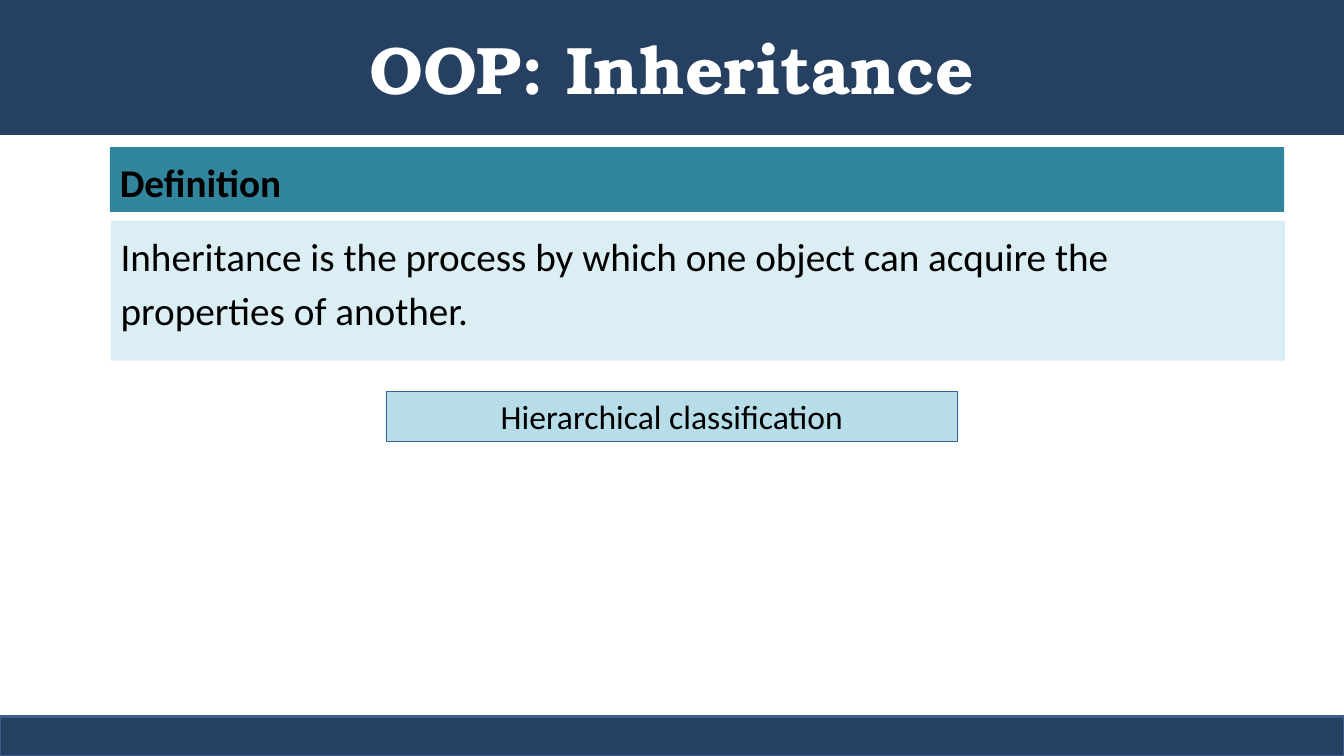
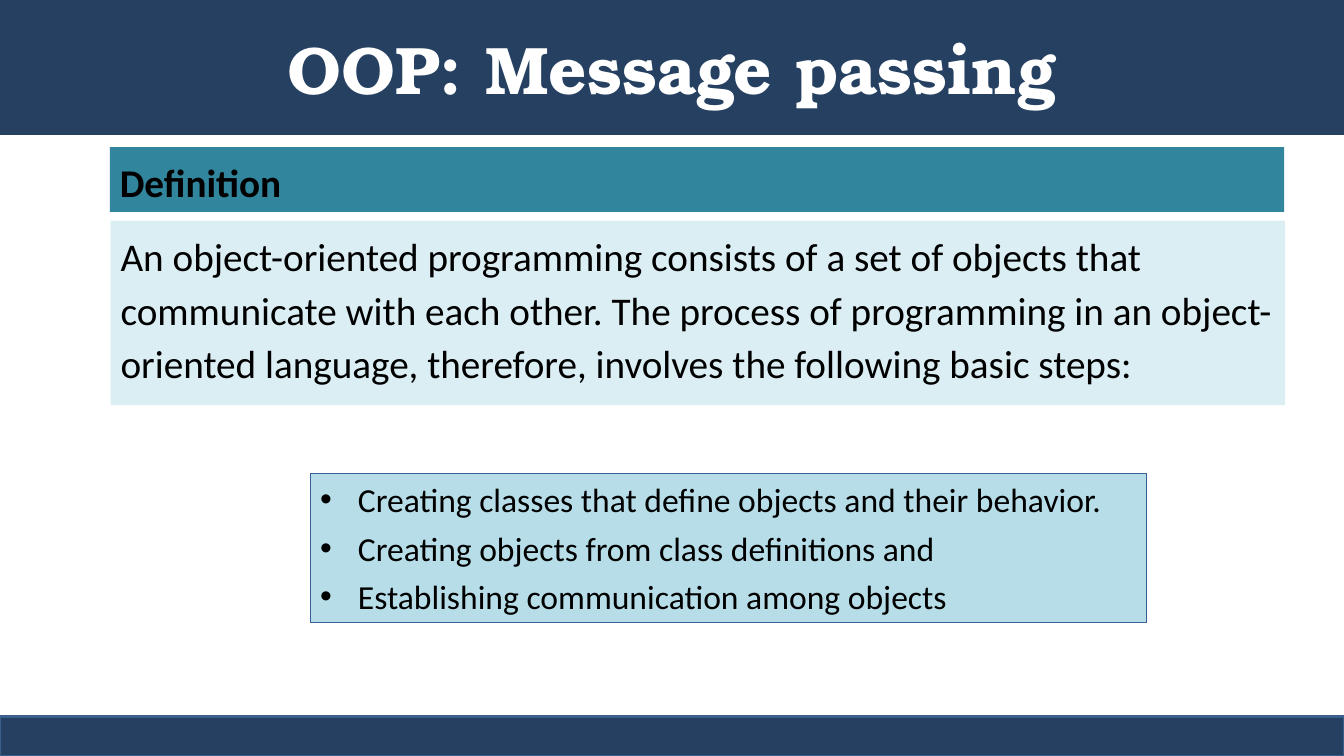
from pptx import Presentation
from pptx.dml.color import RGBColor
from pptx.enum.shapes import MSO_SHAPE
from pptx.enum.text import MSO_ANCHOR, MSO_AUTO_SIZE, PP_ALIGN
from pptx.util import Cm, Pt
from lxml.etree import SubElement
from pptx.oxml.ns import qn

WIDTH, HEIGHT = 33.87, 19.05
TITLE_H, FOOTER_H = 3.4, 1
NAVY, TEAL, PALE, SKY = "254061", "31859C", "DBEEF4", "B7DEE8"
FOOTER_LINE, BOX_LINE = "3A5F8C", "376092"
BLACK, WHITE = "000000", "FFFFFF"
TITLE_FONT, BODY_FONT = "TeX Gyre Bonum", "Calibri"

SLIDES = [
    {
        "title": "OOP: Inheritance",
        "definition": "Inheritance is the process by which one object can "
                      "acquire the properties of another.",
        "definition_h": 3.53,
        "points": ["Hierarchical classification"],
        "points_at": (9.73, 9.86, 14.4, 1.27),
        "bullets": False,
    },
    {
        "title": "OOP: Message passing",
        "definition": "An object-oriented programming consists of a set of "
                      "objects that communicate with each other. The process "
                      "of programming in an object-oriented language, "
                      "therefore, involves the following basic steps:",
        "definition_h": 4.65,
        "points": [
            "Creating classes that define objects and their behavior.",
            "Creating objects from class definitions and",
            "Establishing communication among objects",
        ],
        "points_at": (7.82, 11.94, 21.08, 3.76),
        "bullets": True,
    },
]


def rgb(value):
    return RGBColor.from_string(value)


def add_box(s, at, fill, line=None, line_pt=0.75):
    sp = s.shapes.add_shape(MSO_SHAPE.RECTANGLE, *(Cm(v) for v in at))
    sp.shadow.inherit = False
    sp.fill.solid()
    sp.fill.fore_color.rgb = rgb(fill)
    if line:
        sp.line.color.rgb = rgb(line)
        sp.line.width = Pt(line_pt)
    else:
        sp.line.fill.background()
    return sp


def add_text(sp, lines, size, font=BODY_FONT, color=BLACK, bold=False,
             align=PP_ALIGN.LEFT, anchor=MSO_ANCHOR.TOP,
             spacing=None, before=0, after=0):
    tf = sp.text_frame
    tf.word_wrap = True
    tf.vertical_anchor = anchor
    for i, line in enumerate(lines):
        p = tf.add_paragraph() if i else tf.paragraphs[0]
        p.alignment = align
        p.line_spacing = spacing
        p.space_before, p.space_after = Pt(before), Pt(after)
        r = p.add_run()
        r.text = line
        r.font.name, r.font.size, r.font.bold = font, Pt(size), bold
        r.font.color.rgb = rgb(color)
    return tf


def add_bullet(p, indent=Cm(0.95)):
    pPr = p._p.get_or_add_pPr()
    pPr.set("marL", str(indent))
    pPr.set("indent", str(-indent))
    SubElement(pPr, qn("a:buFont")).set("typeface", "Arial")
    SubElement(pPr, qn("a:buChar")).set("char", "•")


def add_frame(s, title):
    band = add_box(s, (0, 0, WIDTH, TITLE_H), NAVY)
    add_text(band, [title], 48, TITLE_FONT, WHITE, True,
             PP_ALIGN.CENTER, MSO_ANCHOR.MIDDLE)
    add_box(s, (0, HEIGHT - FOOTER_H, WIDTH, FOOTER_H), NAVY, FOOTER_LINE, 2)


def add_definition(s, text, height):
    heading = add_box(s, (2.77, 3.71, 29.59, 1.63), TEAL)
    add_text(heading, ["Definition"], 28, bold=True, spacing=1.14, before=10)
    body = add_box(s, (2.79, 5.56, 29.59, height), PALE)
    add_text(body, [text], 28, spacing=1.14)


def add_points(s, points, at, bullets):
    box = add_box(s, at, SKY, BOX_LINE)
    align = PP_ALIGN.LEFT if bullets else PP_ALIGN.CENTER
    tf = add_text(box, points, 24, align=align, after=6)
    tf.auto_size = MSO_AUTO_SIZE.SHAPE_TO_FIT_TEXT
    if bullets:
        for p in tf.paragraphs:
            add_bullet(p)


def main():
    prs = Presentation()
    prs.slide_width, prs.slide_height = Cm(WIDTH), Cm(HEIGHT)
    for data in SLIDES:
        s = prs.slides.add_slide(prs.slide_layouts[6])
        add_frame(s, data["title"])
        add_definition(s, data["definition"], data["definition_h"])
        add_points(s, data["points"], data["points_at"], data["bullets"])
    prs.save("out.pptx")


if __name__ == "__main__":
    main()
